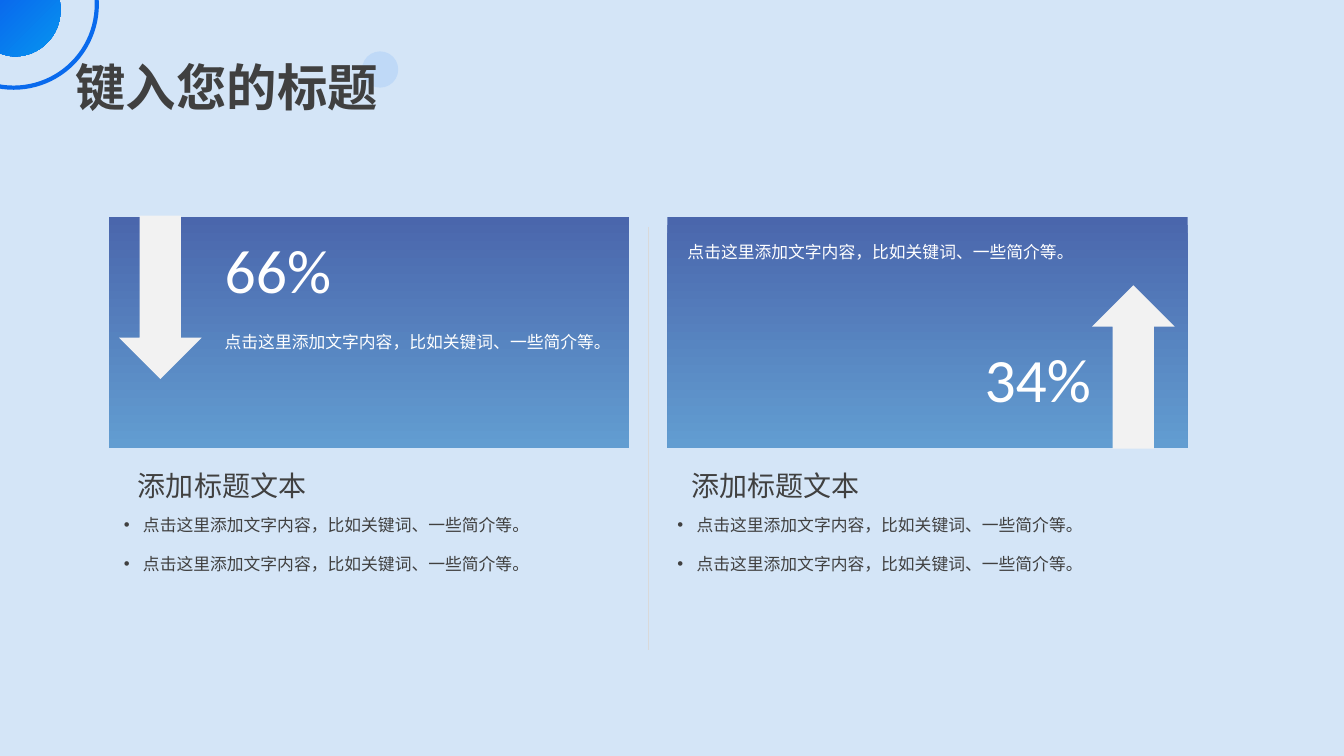
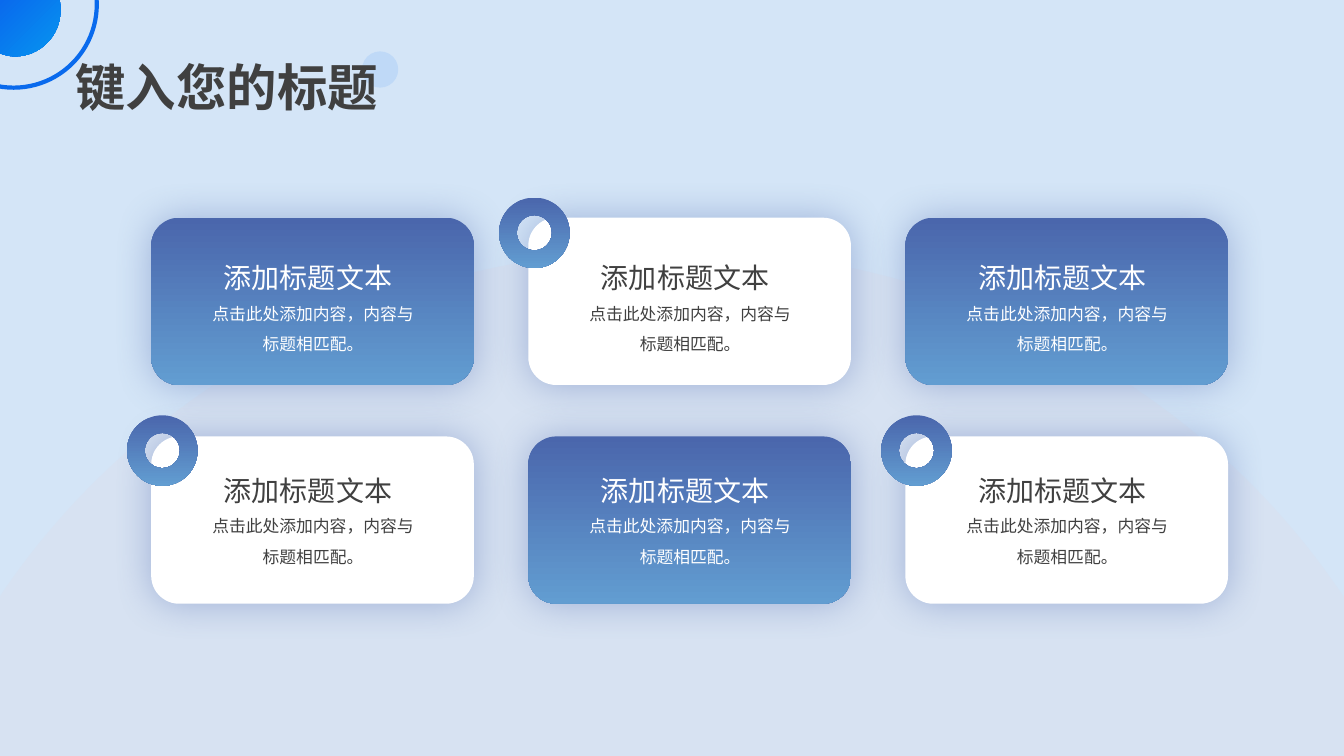
"""Build two title-and-content slides: a pair of percentage panels and a grid of six cards."""
import lxml.etree
import pptx
import pptx.dml.color
import pptx.enum.shapes
import pptx.enum.text
import pptx.oxml.ns
import pptx.util

Inches = pptx.util.Inches
Pt = pptx.util.Pt
SHAPE = pptx.enum.shapes.MSO_SHAPE
ALIGN = pptx.enum.text.PP_ALIGN
qn = pptx.oxml.ns.qn

COLORS = {
    "background": "D4E5F7", "ink": "404040", "white": "FFFFFF", "arrow": "F2F2F2",
    "divider": "D9D9D9", "indigo": "4A66AC", "sky": "629DD1", "dot": "7AB3FA",
    "blue": "096AED", "azure": "0695F0", "hill": "DAE0EF",
}
TITLE = "键入您的标题"
HEADING = "添加标题文本"
SENTENCE = "点击这里添加文字内容，比如关键词、一些简介等。"
CARD_TEXT = "点击此处添加内容，内容与标题相匹配。"
BLEND = ("indigo", "sky")

PANEL_TOP, PANEL_SIZE = 2.15, (5.16, 2.29)
ARROW_SIZE = (0.82, 1.62)
PANELS = [
    {"left": 1.08, "value": "66%", "align": ALIGN.LEFT, "value_at": (2.13, 2.25),
     "note_at": (2.13, 3.14), "arrow_at": (1.18, 2.14), "turn": 0,
     "heading_left": 1.27, "list_left": 1.13},
    {"left": 6.62, "value": "34%", "align": ALIGN.RIGHT, "value_at": (9.01, 3.33),
     "note_at": (6.72, 2.25), "arrow_at": (10.83, 2.83), "turn": 180,
     "heading_left": 6.76, "list_left": 6.62},
]
BULLETS = [SENTENCE, SENTENCE]

CARD_LEFT, CARD_STEP, CARD_SIZE = 1.5, 3.74, (3.2, 1.66)
CARD_ROWS = [
    {"top": 2.16, "text_top": 2.47, "ring_shift": (-0.29, -0.2), "cards": ("blue", "white", "blue")},
    {"top": 4.33, "text_top": 4.58, "ring_shift": (-0.24, -0.21), "cards": ("white", "blue", "white")},
]
CORNER_DISC = [
    [(0, 0.53)],
    [(0.05, 0.55), (0.1, 0.56), (0.15, 0.56)],
    [(0.4, 0.56), (0.6, 0.35), (0.6, 0.11)],
    [(0.6, 0.07), (0.6, 0.03), (0.59, 0)],
    [(0, 0)],
]
HILL = [
    [(6.67, 2.47)],
    [(9.61, 2.47), (12.17, 3.98), (13.51, 6.21)],
    [(13.52, 6.21)], [(13.52, 7.5)], [(-0.03, 7.5)], [(-0.03, 5.97)], [(0.01, 5.9)],
    [(1.4, 3.84), (3.86, 2.47), (6.67, 2.47)],
]


def rgb(name):
    return pptx.dml.color.RGBColor.from_string(COLORS[name])


def paint(shape, fill=None, angle=270, alpha=None, line=None, width=0):
    shape.shadow.inherit = False
    if fill is None:
        shape.fill.background()
    elif isinstance(fill, tuple):
        shape.fill.gradient()
        shape.fill.gradient_angle = angle
        for stop, name in zip(shape.fill.gradient_stops, fill):
            stop.color.rgb = rgb(name)
    else:
        shape.fill.solid()
        shape.fill.fore_color.rgb = rgb(fill)
    if alpha is not None:
        color = shape._element.spPr.find(qn("a:solidFill"))[0]
        lxml.etree.SubElement(color, qn("a:alpha"), val=str(alpha * 1000))
    if line:
        shape.line.color.rgb = rgb(line)
        shape.line.width = Pt(width)
    else:
        shape.line.fill.background()
    return shape


def add_figure(page, kind, at, size, **style):
    shape = page.shapes.add_shape(kind, *map(Inches, at + size))
    return paint(shape, **style)


def add_outline(page, segments, **style):
    start, *rest = [(Inches(x), Inches(y)) for segment in segments for x, y in segment]
    builder = page.shapes.build_freeform(*start, scale=1.0)
    builder.add_line_segments(rest, close=True)
    shape = builder.convert_to_shape()
    steps = iter(list(shape._element.iter(qn("a:lnTo"))))
    for segment in segments[1:]:
        parts = [next(steps) for _ in segment]
        if len(parts) == 3:
            curve = lxml.etree.Element(qn("a:cubicBezTo"))
            parts[0].addprevious(curve)
            for part in parts:
                curve.append(part[0])
                part.getparent().remove(part)
    return paint(shape, **style)


def add_glow(shape):
    effects = shape._element.spPr.find(qn("a:effectLst"))
    glow = lxml.etree.SubElement(effects, qn("a:outerShdw"), blurRad=str(Pt(28)),
                                 dist="0", dir="0", algn="ctr", rotWithShape="0")
    color = lxml.etree.SubElement(glow, qn("a:srgbClr"), val=COLORS["indigo"])
    lxml.etree.SubElement(color, qn("a:alpha"), val="40000")


def add_text(page, lines, at, size, points=12, color="ink", font="Calibri", bold=False,
             align=ALIGN.LEFT, spacing=None, bullet=False):
    box = page.shapes.add_textbox(*map(Inches, at + size))
    frame = box.text_frame
    frame.word_wrap = True
    frame.auto_size = pptx.enum.text.MSO_AUTO_SIZE.SHAPE_TO_FIT_TEXT
    for index, line in enumerate([lines] if isinstance(lines, str) else lines):
        para = frame.add_paragraph() if index else frame.paragraphs[0]
        para.alignment = align
        if spacing:
            para.line_spacing = spacing
        if index:
            para.space_before = Pt(6)
        if bullet:
            props = para._p.get_or_add_pPr()
            props.set("marL", str(Inches(0.19)))
            props.set("indent", str(-Inches(0.19)))
            lxml.etree.SubElement(props, qn("a:buFont"), typeface="Arial")
            lxml.etree.SubElement(props, qn("a:buChar"), char="•")
        span = para.add_run()
        span.text = line
        span.font.name, span.font.size, span.font.bold = font, Pt(points), bold
        span.font.color.rgb = rgb(color)


def decorate_layout(page):
    decorations = [
        add_figure(page, SHAPE.OVAL, (3.59, 0.51), (0.36, 0.36), fill="dot", alpha=23),
        add_figure(page, SHAPE.OVAL, (-0.69, -0.78), (1.65, 1.65), line="blue", width=3),
        add_outline(page, CORNER_DISC, fill=("blue", "azure"), angle=315),
    ]
    for shape in decorations:
        page.slide_layout.shapes._spTree.append(shape._element)


def add_page(deck):
    page = deck.slides.add_slide(deck.slide_layouts[6])
    if len(deck.slides) == 1:
        decorate_layout(page)
    add_text(page, TITLE, (0.65, 0.51), (3.68, 0.71), points=36, font="Noto Sans CJK SC", bold=True)
    return page


def build_panels(deck):
    page = add_page(deck)
    for panel in PANELS:
        add_figure(page, SHAPE.RECTANGLE, (panel["left"], PANEL_TOP), PANEL_SIZE, fill=BLEND)
    divider = page.shapes.add_connector(pptx.enum.shapes.MSO_CONNECTOR.STRAIGHT,
                                        *map(Inches, (6.43, 2.25, 6.43, 6.45)))
    divider.line.color.rgb = rgb("divider")
    divider.line.width = Pt(0.5)
    lxml.etree.SubElement(divider._element.spPr, qn("a:effectLst"))
    for panel in PANELS:
        add_text(page, HEADING, (panel["heading_left"], 4.6), (4.8, 0.44), points=20)
        add_text(page, BULLETS, (panel["list_left"], 4.96), (5.34, 0.79), spacing=1.5, bullet=True)
        arrow = add_figure(page, SHAPE.DOWN_ARROW, panel["arrow_at"], ARROW_SIZE, fill="arrow")
        arrow.rotation = panel["turn"]
        add_text(page, panel["value"], panel["value_at"], (1.91, 0.84), points=44,
                 color="white", align=panel["align"])
        add_text(page, SENTENCE, panel["note_at"], (3.92, 0.4), color="white", spacing=1.5)


def build_cards(deck):
    page = add_page(deck)
    add_outline(page, HILL, fill="hill", alpha=54)
    cells = [(CARD_LEFT + column * CARD_STEP, row, tone)
             for row in CARD_ROWS for column, tone in enumerate(row["cards"])]
    for left, row, tone in cells:
        add_glow(add_figure(page, SHAPE.ROUNDED_RECTANGLE, (left, row["top"]), CARD_SIZE,
                            fill=BLEND if tone == "blue" else "white"))
    for left, row, tone in cells:
        style = {"color": "white" if tone == "blue" else "ink", "align": ALIGN.CENTER}
        top = row["text_top"]
        add_text(page, HEADING, (left + 0.56, top), (1.99, 0.5), points=20, spacing=1.2, **style)
        add_text(page, CARD_TEXT, (left + 0.46, top + 0.39), (2.29, 0.71), spacing=1.5, **style)
        if tone == "white":
            shift_x, shift_y = row["ring_shift"]
            add_figure(page, SHAPE.DONUT, (left + shift_x, row["top"] + shift_y), (0.7, 0.7), fill=BLEND)


def main():
    deck = pptx.Presentation()
    deck.slide_width, deck.slide_height = Inches(13.33), Inches(7.5)
    backdrop = deck.slide_master.background.fill
    backdrop.solid()
    backdrop.fore_color.rgb = rgb("background")
    build_panels(deck)
    build_cards(deck)
    deck.save("out.pptx")


if __name__ == "__main__":
    main()
